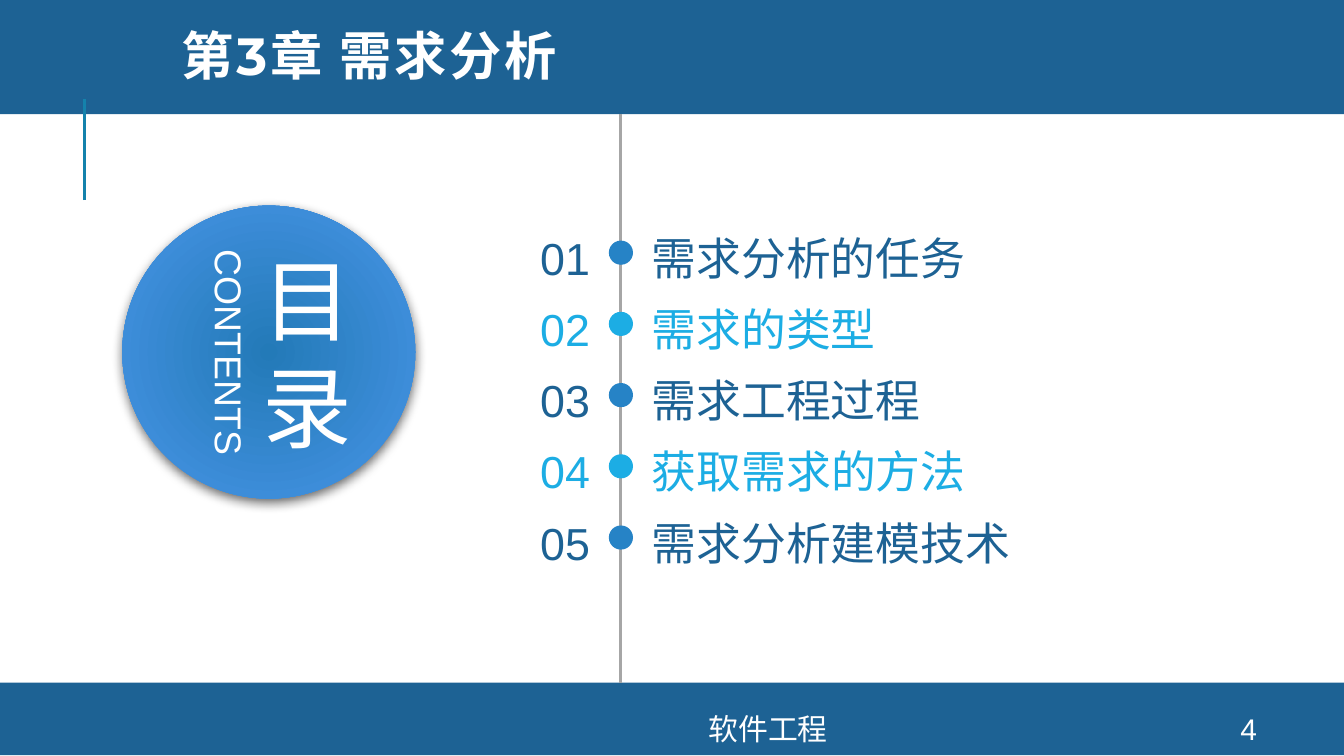
import pptx
import pptx.util
import pptx.dml.color
import pptx.enum.shapes
import pptx.enum.text
import pptx.oxml
import pptx.oxml.ns

Inches, Pt = pptx.util.Inches, pptx.util.Pt
ALIGN = pptx.enum.text.PP_ALIGN
ANCHOR = pptx.enum.text.MSO_ANCHOR
FIT = pptx.enum.text.MSO_AUTO_SIZE
SHAPE = pptx.enum.shapes.MSO_SHAPE
NS = pptx.oxml.ns.nsdecls("a")

# Content
TITLE = "第3章 需求分析"
SECTIONS = [  # name, text width
    ("需求分析的任务", 3.37),
    ("需求的类型", 3.37),
    ("需求工程过程", 3.37),
    ("获取需求的方法", 4.01),
    ("需求分析建模技术", 3.37),
]
FOOTERS = [("软件工程", 2.61, 6.21), ("4", 8.89, 0.8)]

# Style
NAVY, WHITE = "1D6294", "FFFFFF"
ROW_COLORS = [("2683C6", NAVY), ("1CADE4", "1CADE4")]  # dot, text
AXIS_X, DOT, DOT_TOP, ROW_TOP, ROW_STEP = 4.62, 0.18, 1.79, 1.715, 0.53


def rgb(value):
    return pptx.dml.color.RGBColor.from_string(value)


def box(x, y, w, h):
    return [Inches(v) for v in (x, y, w, h)]


def add_shape(s, kind, at, color):
    sp = s.shapes.add_shape(kind, *box(*at))
    sp.shadow.inherit = False
    sp.fill.solid()
    sp.fill.fore_color.rgb = rgb(color)
    sp.line.fill.background()
    return sp


def add_line(s, x, y1, y2, color):
    ln = s.shapes.add_connector(pptx.enum.shapes.MSO_CONNECTOR.STRAIGHT,
                                Inches(x), Inches(y1), Inches(x), Inches(y2))
    ln.line.color.rgb = rgb(color)
    ln.line.width = Pt(1.5)
    ln._element.spPr.append(pptx.oxml.parse_xml(f"<a:effectLst {NS}/>"))


def write(sp, lines, size, color, align, font="Arial", spacing=0):
    tf = sp.text_frame
    tf.word_wrap = True
    tf.text = "\n".join(lines)
    for p in tf.paragraphs:
        p.alignment = align
        p.font.size, p.font.name = Pt(size), font
        p.font.color.rgb = rgb(color)
        if spacing:
            for r in p.runs:
                r._r.get_or_add_rPr().set("spc", str(int(spacing * 100)))
    return tf


def add_text(s, at, lines, size, color, align, inset=True, spacing=0):
    sp = s.shapes.add_textbox(*box(*at))
    tf = write(sp, lines, size, color, align, spacing=spacing)
    if not inset:
        tf.margin_left = tf.margin_top = tf.margin_right = tf.margin_bottom = 0
    return sp


prs = pptx.Presentation()
prs.slide_width, prs.slide_height = Inches(10), Inches(5.625)  # 16:9
s = prs.slides.add_slide(prs.slide_layouts[5])

# Bands and rules
add_shape(s, SHAPE.RECTANGLE, (0, -0.03, 10, 0.88), NAVY)
add_shape(s, SHAPE.RECTANGLE, (0, 5.08, 10, 0.54), NAVY)
add_line(s, 0.63, 1.49, 0.74, "1482AC")
add_line(s, AXIS_X, 0.85, 5.08, "A6A6A6")

# Contents disc: radial gradient and soft shadow
disc = add_shape(s, SHAPE.OVAL, (0.91, 1.53, 2.18, 2.18), "237AB8")
spPr = disc._element.spPr
solid = spPr.find(pptx.oxml.ns.qn("a:solidFill"))
spPr.replace(solid, pptx.oxml.parse_xml(
    f'<a:gradFill {NS} rotWithShape="1"><a:gsLst>'
    '<a:gs pos="0"><a:srgbClr val="237AB8"/></a:gs>'
    '<a:gs pos="100000"><a:srgbClr val="4895E7"/></a:gs></a:gsLst>'
    '<a:path path="circle"><a:fillToRect l="50000" t="50000" r="50000" b="50000"/></a:path>'
    '</a:gradFill>'))
spPr.find(pptx.oxml.ns.qn("a:effectLst")).append(pptx.oxml.parse_xml(
    f'<a:outerShdw {NS} blurRad="{Pt(6)}" dist="{Pt(2)}" dir="5400000" rotWithShape="0">'
    '<a:srgbClr val="000000"><a:alpha val="60000"/></a:srgbClr></a:outerShdw>'))

heading = add_text(s, (1.58, 1.61, 1.41, 2.02), ["目", "录"], 48, WHITE, ALIGN.CENTER,
                   inset=False, spacing=6)
heading.text_frame.vertical_anchor = ANCHOR.MIDDLE
label = add_text(s, (0.65, 2.4, 2.11, 0.44), ["CONTENTS"], 20, WHITE, ALIGN.CENTER)
label.rotation = 90
label.text_frame.auto_size = FIT.SHAPE_TO_FIT_TEXT

# Footer
for text, x, w in FOOTERS:
    sp = add_text(s, (x, 5.31, w, 0.23), [text], 16, WHITE, ALIGN.CENTER)
    sp.text_frame.vertical_anchor = ANCHOR.MIDDLE

# Section list along the vertical rule
for i, (name, width) in enumerate(SECTIONS):
    dot_color, color = ROW_COLORS[i % 2]
    y = ROW_TOP + i * ROW_STEP
    add_shape(s, SHAPE.OVAL, (AXIS_X - DOT / 2, DOT_TOP + i * ROW_STEP, DOT, DOT), dot_color)
    number = add_text(s, (3.8, y, 0.59, 0.4), [f"{i + 1:02d}"], 24, color, ALIGN.RIGHT,
                      inset=False)
    entry = add_text(s, (4.85, y, width, 0.4), [name], 24, color, ALIGN.LEFT, inset=False)
    for sp in (number, entry):
        sp.text_frame.auto_size = FIT.SHAPE_TO_FIT_TEXT

# Title, brought in front of its band
title = s.shapes.title
title.left, title.top, title.width, title.height = box(1.25, 0.09, 8.26, 0.72)
tf = write(title, [TITLE], 28, WHITE, ALIGN.LEFT, font="Montserrat", spacing=1.5)
tf.auto_size = FIT.NONE
tf.vertical_anchor = ANCHOR.MIDDLE
tf.paragraphs[0].font.bold = True
tf.paragraphs[0].line_spacing = 0.8
s.shapes._spTree.append(title._element)

prs.save("out.pptx")
